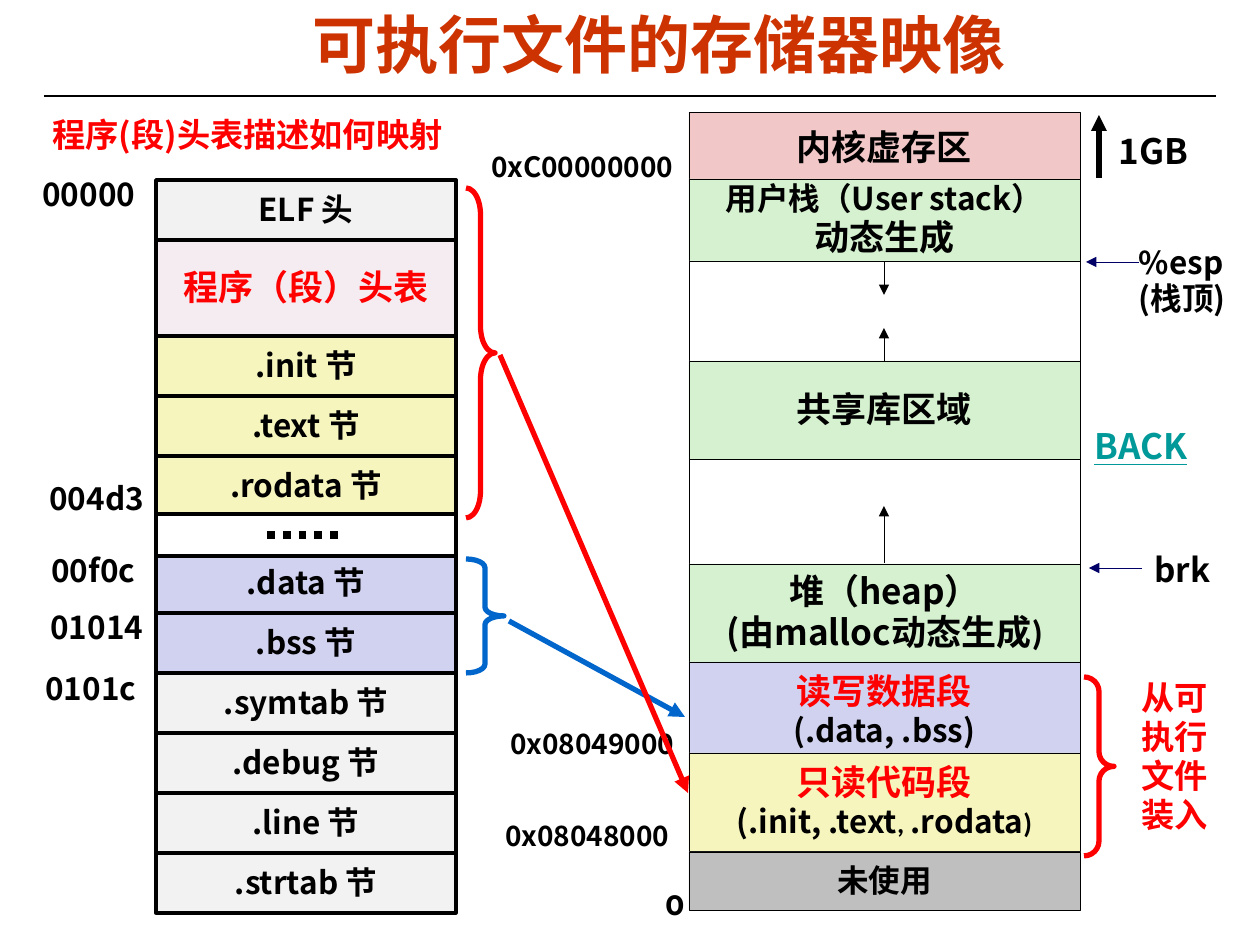
from itertools import chain

from lxml import etree
from pptx import Presentation
from pptx import util as u
from pptx.dml.color import RGBColor
from pptx.enum import dml, shapes, text
from pptx.oxml import ns

PX_PER_INCH = 126
SANS, ARIAL, CALIBRI, ROUND = "Noto Sans CJK SC", "Arial", "Calibri", "Montserrat"
COLOURS = {
    "ink": "000000", "white": "FFFFFF", "title": "CC3300", "red": "FF0000",
    "blue": "0066CC", "navy": "000066", "teal": "009999", "grey": "F2F2F2",
    "unused": "BFBFBF", "kernel": "F1C7C7", "dynamic": "D5F1CF",
    "code": "F6F5BD", "data": "D1D1F0", "plum": "993366",
}


def px(*lengths):
    """Turn pixel lengths into EMU."""
    return [u.Emu(round(length * 914400 / PX_PER_INCH)) for length in lengths]


def rgb(colour):
    """Look up a named colour."""
    return RGBColor.from_string(COLOURS[colour])


def apply(target, values):
    """Set each attribute in values on target."""
    for name, value in values.items():
        setattr(target, name, value)


def add_xml(parent, tag, **attributes):
    """Append a DrawingML element to parent."""
    return etree.SubElement(parent, ns.qn(tag), attributes)


def run(words, size=18, colour="ink", face=SANS, underline=None):
    """Describe one run of text."""
    return words, size, colour, face, underline


def write(frame, paragraphs, align=None, spacing=None, **layout):
    """Fill a text frame with paragraphs of runs."""
    apply(frame, layout)
    for index, runs in enumerate(paragraphs):
        paragraph = frame.add_paragraph() if index else frame.paragraphs[0]
        apply(paragraph, {"alignment": align, "line_spacing": spacing})
        for words, size, colour, face, underline in runs:
            piece = paragraph.add_run()
            piece.text = words
            apply(piece.font, {"size": u.Pt(size), "bold": True, "name": face,
                               "underline": underline})
            piece.font.color.rgb = rgb(colour)
            add_xml(piece.font._element, "a:ea", typeface=SANS)


def outline(line, colour, width):
    """Give a line its colour and width in points."""
    line.color.rgb = rgb(colour)
    line.width = u.Pt(width)


def add_block(canvas, box, fill, width, paragraphs=(), alpha=None):
    """Draw a memory block with centred text."""
    block = canvas.add_shape(shapes.MSO_SHAPE.RECTANGLE, *px(*box))
    block.shadow.inherit = False
    block.fill.solid()
    block.fill.fore_color.rgb = rgb(fill)
    if alpha:
        fill_colour = next(block._element.spPr.iter(ns.qn("a:srgbClr")))
        add_xml(fill_colour, "a:alpha", val=str(alpha * 1000))
    outline(block.line, "ink", width)
    write(block.text_frame, paragraphs, text.PP_ALIGN.CENTER, 0.98,
          word_wrap=False, vertical_anchor=text.MSO_ANCHOR.MIDDLE)


def add_label(canvas, box, paragraphs, spacing=0.98, wrap=True, **layout):
    """Place a text label."""
    label = canvas.add_textbox(*px(*box))
    write(label.text_frame, paragraphs, spacing=spacing, word_wrap=wrap,
          auto_size=text.MSO_AUTO_SIZE.SHAPE_TO_FIT_TEXT, **layout)


def add_line(canvas, ends, colour="ink", width=0.25, arrow=True, dash=None):
    """Draw a straight line, with an arrowhead unless told otherwise."""
    line = canvas.add_connector(shapes.MSO_CONNECTOR.STRAIGHT, *px(*ends))
    outline(line.line, colour, width)
    if dash:
        line.line.dash_style = dash
    if arrow:
        add_xml(line.line._get_or_add_ln(), "a:tailEnd", type="triangle")
    add_xml(line._element.spPr, "a:effectLst")


def add_brace(canvas, box, colour, curve):
    """Draw a right brace."""
    brace = canvas.add_shape(shapes.MSO_SHAPE.RIGHT_BRACE, *px(*box))
    brace.shadow.inherit = False
    brace.fill.background()
    brace.adjustments[0] = curve
    outline(brace.line, colour, 3)


def add_title(slide):
    """Write the heading and the rule below it."""
    heading = slide.shapes.title
    apply(heading, dict(zip(("left", "top", "width", "height"), px(59, 0, 1201, 86))))
    write(heading.text_frame, [[run("可执行文件的存储器映像", 36, "title", ARIAL)]],
          text.PP_ALIGN.CENTER, auto_size=text.MSO_AUTO_SIZE.NONE,
          vertical_anchor=text.MSO_ANCHOR.MIDDLE)
    add_line(slide.shapes, (44, 96, 1216, 96), width=0.75, arrow=False)


def add_file(canvas):
    """Draw the sections of the executable file."""
    left, width, row = 156, 300, 60
    add_block(canvas, (left, 180, width, row), "grey", 2, [[run("ELF 头")]])
    add_block(canvas, (left, 240, width, 96), "plum", 2,
              [[run("程序（段）头表", 20, "red")]], alpha=9)
    groups = [
        (336, "code", (".init", ".text", ".rodata")),
        (553, "data", (".data", ".bss")),
        (673, "grey", (".symtab", ".debug", ".line", ".strtab")),
    ]
    for top, fill, sections in groups:
        for index, section in enumerate(sections):
            add_block(canvas, (left, top + index * row, width, row), fill, 2,
                      [[run(f"{section} 节")]])
    add_block(canvas, (left, 514, width, 42), "white", 2.25)
    add_line(canvas, (267, 535, 344, 535), width=4.5, arrow=False,
             dash=dml.MSO_LINE.ROUND_DOT)
    offsets = [(30, 171, "00000"), (37, 475, "004d3"), (39, 547, "00f0c"),
               (38, 604, "01014"), (33, 665, "0101c")]
    for x, y, offset in offsets:
        add_label(canvas, (x, y, 129, 50), [[run(offset)]])


def add_memory(canvas):
    """Draw the regions of the virtual address space."""
    regions = [
        (112, 72, "kernel", [[run("内核虚存区", 20)]]),
        (179, 82, "dynamic", [[run("用户栈（User stack）")],
                              [run("动态生成", 20, face=CALIBRI)]]),
        (261, 100, "white", []),
        (361, 98, "dynamic", [[run("共享库区域", 20)]]),
        (459, 105, "white", []),
        (564, 98, "dynamic", [[run("堆（heap）", 20)],
                              [run("(由malloc动态生成", 20), run(")", 20, face=CALIBRI)]]),
        (662, 98, "data", [[run("读写数据段", 20, "red")], [run("(.data, .bss)")]]),
        (753, 98, "code", [[run("只读代码段", 20, "red")],
                           [run("(.init, .text"), run(", ", 16, face=CALIBRI),
                            run(".rodata"), run(")", 16, face=CALIBRI)]]),
        (852, 58, "unused", [[run("未使用")]]),
    ]
    for top, height, fill, paragraphs in regions:
        add_block(canvas, (689, top, 391, height), fill, 0.25, paragraphs)
    for start, end in ((262, 295), (361, 328), (563, 506)):
        add_line(canvas, (884, start, 884, end))
    addresses = [(479, 146, 215, "0xC00000000"), (498, 723, 197, "0x08049000"),
                 (493, 815, 197, "0x08048000")]
    for x, y, width, address in addresses:
        add_label(canvas, (x, y, width, 44), [[run(address, 16)]], 0.94, False)
    add_label(canvas, (653, 883, 44, 45), [[run("0", 16, face=ROUND)]], wrap=False)


def add_notes_beside(canvas):
    """Label the pointers and sizes around both columns."""
    add_label(canvas, (40, 108, 450, 53),
              [[run("程序(段)头表描述如何映射", 19, "red")]], None)
    add_label(canvas, (1106, 123, 116, 54), [[run("1GB", 20)]], None)
    add_label(canvas, (1082, 418, 130, 54),
              [[run("BACK", 20, "teal", underline=True)]], None)
    add_label(canvas, (1139, 239, 101, 86), [[run("%esp")], [run("(栈顶)")]],
              0.96, margin_left=0, margin_right=0)
    add_label(canvas, (1142, 546, 81, 50), [[run("brk", 19)]], 0.94, False)
    add_line(canvas, (1099, 178, 1099, 115), width=3)
    for start, end, y in ((1139, 1086, 262), (1142, 1089, 568)):
        add_line(canvas, (start, y, end, y), "navy")


def add_mappings(canvas):
    """Join file sections to the segments they are loaded into."""
    mappings = [
        ("blue", (466, 559, 38, 114), 0.23, (509, 621, 685, 717)),
        ("red", (466, 188, 29, 330), 0.92, (500, 355, 688, 793)),
    ]
    for colour, brace, curve, arrow in mappings:
        mapping = canvas.add_group_shape().shapes
        add_line(mapping, arrow, colour, 3)
        add_brace(mapping, brace, colour, curve)
    loaded = canvas.add_group_shape().shapes
    add_brace(loaded, (1084, 677, 30, 179), "red", 0.49)
    add_label(loaded, (1129, 673, 103, 169),
              [[run("从可执行文件装入", 19, "red", CALIBRI)]])


def main():
    """Build and save the slide."""
    deck = Presentation()
    deck.slide_width, deck.slide_height = u.Inches(10), u.Inches(7.5)
    slide = deck.slides.add_slide(deck.slide_layouts[5])
    add_title(slide)
    for draw in (add_memory, add_file, add_mappings, add_notes_beside):
        draw(slide.shapes)
    deck.save("out.pptx")


if __name__ == "__main__":
    main()
